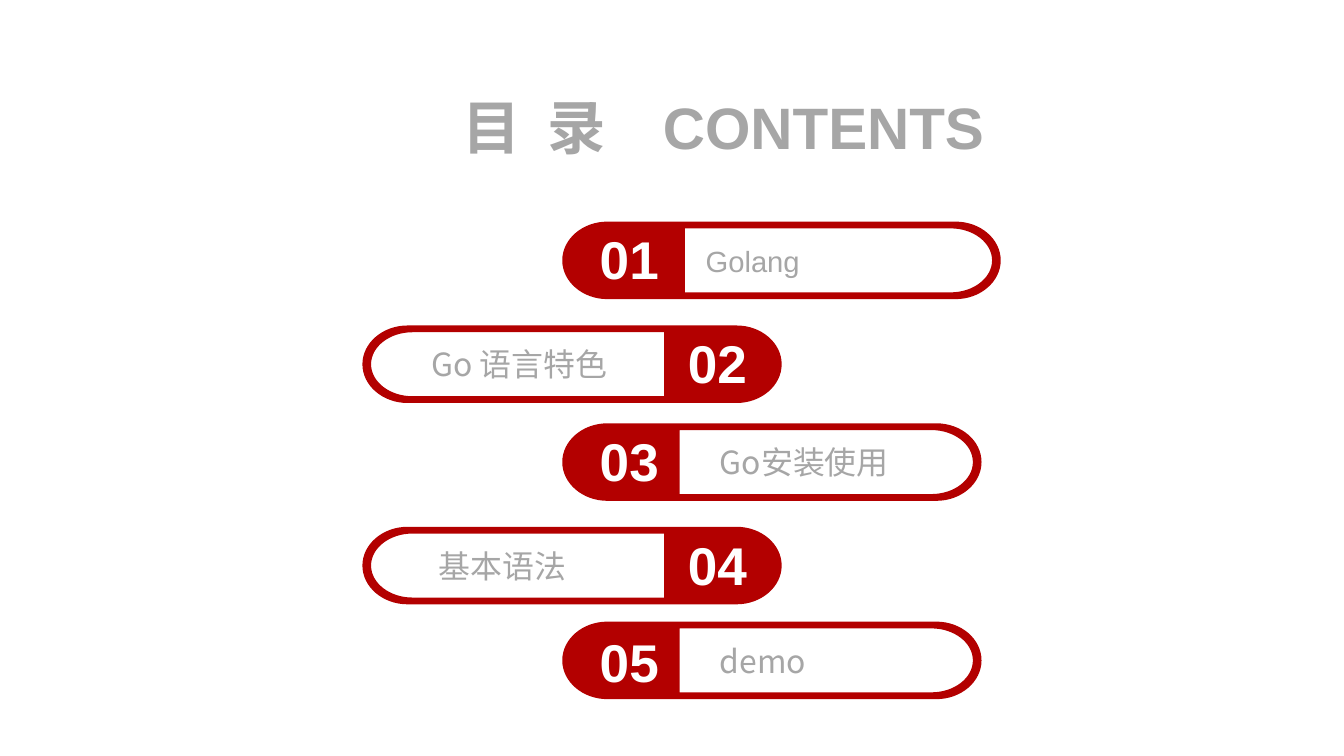
from pptx import Presentation
from pptx import util as u
from pptx.dml.color import RGBColor
from pptx.enum import text
from pptx.oxml.ns import qn
from lxml import etree

RED = RGBColor(0xB3, 0x00, 0x00)
GREY = RGBColor(0xA6, 0xA6, 0xA6)
WHITE = RGBColor(0xFF, 0xFF, 0xFF)
LATIN, CJK = "Arial", "Noto Sans CJK SC"

# Pill measures in cm
PILL_H, END_RX = 2.06, 1.2
RIM_X, RIM_Y, WINDOW_RX = 0.23, 0.18, 1.1
NUM_W, NUM_H = 2.36, 1.7
BEND = 0.45  # share of a quarter ellipse beyond its control point


def write(tf, content, size, color, font=LATIN, bold=False, inset=0,
          align=text.PP_ALIGN.CENTER, anchor=text.MSO_ANCHOR.TOP):
    tf.word_wrap = True
    tf.auto_size = text.MSO_AUTO_SIZE.NONE
    tf.vertical_anchor = anchor
    tf.margin_left = u.Cm(inset)
    tf.margin_top = tf.margin_right = tf.margin_bottom = 0
    p = tf.paragraphs[0]
    p.alignment = align
    r = p.add_run()
    r.text = content
    r.font.size, r.font.bold, r.font.name = u.Pt(size), bold, font
    r.font.color.rgb = color
    # East Asian characters use their own typeface
    etree.SubElement(r.font._element, qn("a:ea")).set("typeface", CJK)


def rounded_end(x, y, rx, ry):
    """Two curves, three points each, around an end; negative radii turn it."""
    return [[(x + rx * (1 - BEND), y), (x + rx, y + ry * BEND), (x + rx, y + ry)],
            [(x + rx, y + ry * (2 - BEND)), (x + rx * (1 - BEND), y + 2 * ry),
             (x, y + 2 * ry)]]


def outline(x, y, w, h, rx_left, rx_right):
    """Start point and segments: one point is a line, three are a curve."""
    left, right, bottom = x + rx_left, x + w - rx_right, y + h
    segments = [[(right, y)]]
    segments += rounded_end(right, y, rx_right, h / 2) if rx_right else [[(right, bottom)]]
    segments.append([(left, bottom)])
    if rx_left:
        segments += rounded_end(left, bottom, -rx_left, -h / 2)
    return (left, y), segments


def draw(shapes, outlines):
    builder, segments = None, []
    for start, parts in outlines:
        start = [u.Cm(v) for v in start]
        if builder is None:
            builder = shapes.build_freeform(*start, scale=1.0)
        else:
            builder.move_to(*start)
        builder.add_line_segments([(u.Cm(px), u.Cm(py)) for part in parts
                                   for px, py in part], close=True)
        segments += parts
    sp = builder.convert_to_shape()
    # Join each group of three lines into one curve
    lines = iter(list(sp._element.iter(qn("a:lnTo"))))
    for part in segments:
        first, *others = [next(lines) for _ in part]
        if others:
            first.tag = qn("a:cubicBezTo")
            for line in others:
                first.append(line[0])
                line.getparent().remove(line)
    return sp


class Deck:
    def __init__(self, width, height):
        self.prs = Presentation()
        self.prs.slide_width, self.prs.slide_height = u.Cm(width), u.Cm(height)
        self.s = self.prs.slides.add_slide(self.prs.slide_layouts[5])

    def title(self, content, *box, **style):
        sp = self.s.shapes.title
        sp.left, sp.top, sp.width, sp.height = map(u.Cm, box)
        write(sp.text_frame, content, **style)

    def label(self, content, *box, **style):
        sp = self.s.shapes.add_textbox(*map(u.Cm, box))
        write(sp.text_frame, content, **style)

    def pill(self, content, x, y, w, number_w, number_left, **style):
        """Red pill with a white window beside its number."""
        window_x = x + (number_w if number_left else RIM_X)
        ends = (0, WINDOW_RX) if number_left else (WINDOW_RX, 0)
        sp = draw(self.s.shapes, [
            outline(x, y, w, PILL_H, END_RX, END_RX),
            outline(window_x, y + RIM_Y, w - number_w - RIM_X,
                    PILL_H - 2 * RIM_Y, *ends)])
        sp.shadow.inherit = False
        sp.fill.solid()
        sp.fill.fore_color.rgb = RED
        sp.line.fill.background()
        write(sp.text_frame, content, color=GREY, align=text.PP_ALIGN.LEFT,
              anchor=text.MSO_ANCHOR.MIDDLE, **style)


def main():
    deck = Deck(35.71, 20.09)

    # Heading
    heading = dict(size=44, color=GREY, bold=True)
    deck.title("目  录", 11.86, 2.41, 4.67, 1.88,
               anchor=text.MSO_ANCHOR.MIDDLE, **heading)
    deck.label("CONTENTS", 17.48, 2.41, 8.81, 1.88, **heading)

    # Chapters: text, top, width, number part, text inset, number drop, size, font
    chapters = [
        ("Golang", 5.89, 11.65, 3.26, 3.81, 0.13, 22, LATIN),
        ("Go 语言特色", 8.65, 11.14, 3.12, 1.83, 0.13, 24, CJK),
        ("Go安装使用", 11.25, 11.14, 3.12, 4.19, 0.13, 24, CJK),
        ("基本语法", 14, 11.14, 3.12, 2.03, 0.15, 24, CJK),
        ("demo", 16.52, 11.14, 3.12, 4.19, 0.2, 24, CJK),
    ]
    for i, (name, top, w, number_w, inset, drop, size, font) in enumerate(chapters, 1):
        # Odd chapters stand right with the number on their left end
        odd = i % 2 == 1
        x, number_x = (14.94, 15.54) if odd else (9.63, 17.88)
        deck.pill(name, x, top, w, number_w, odd,
                  size=size, font=font, inset=inset)
        deck.label(f"{i:02d}", number_x, top + drop, NUM_W, NUM_H,
                   size=40, color=WHITE, bold=True)

    deck.prs.save("out.pptx")


if __name__ == "__main__":
    main()
